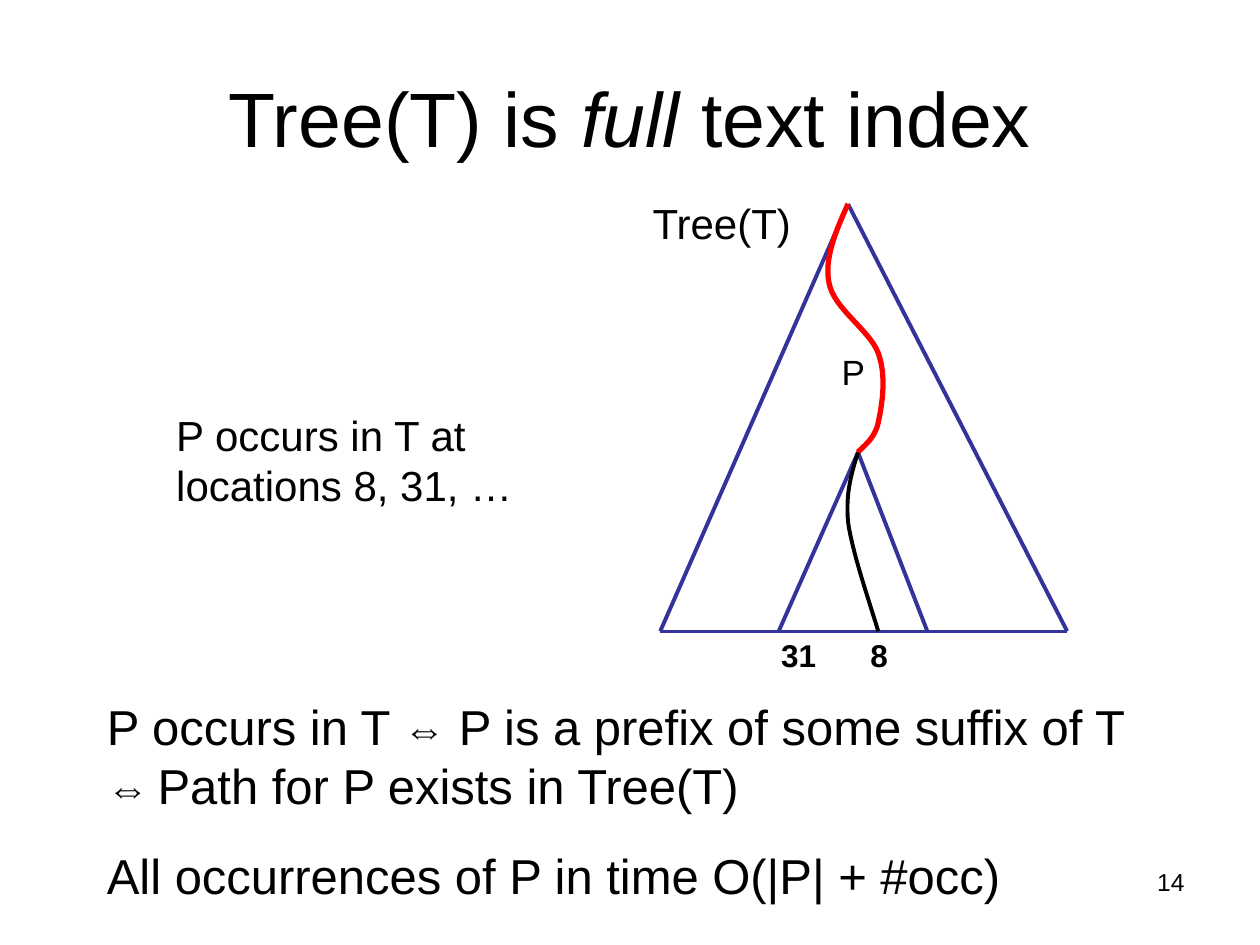
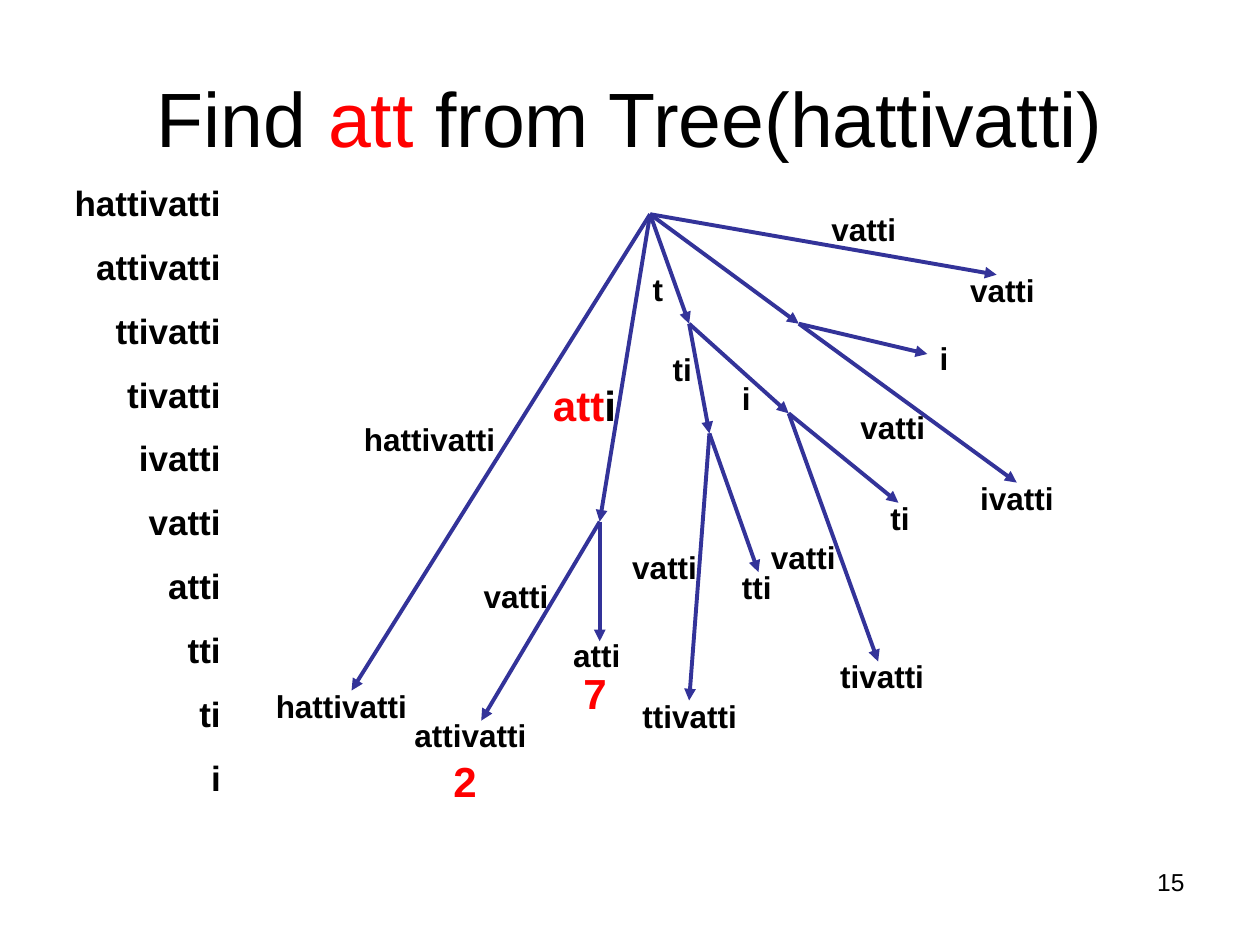
from dataclasses import dataclass

import pptx
import pptx.dml.color
import pptx.enum.shapes
import pptx.enum.text
import pptx.oxml
import pptx.oxml.ns
import pptx.util

Pt = pptx.util.Pt
RGBColor = pptx.dml.color.RGBColor
Align = pptx.enum.text.PP_ALIGN
Anchor = pptx.enum.text.MSO_ANCHOR
Fit = pptx.enum.text.MSO_AUTO_SIZE

BLACK = RGBColor(0x00, 0x00, 0x00)
RED = RGBColor(0xFF, 0x00, 0x00)
BLUE = RGBColor(0x33, 0x33, 0x99)
FONT = "Arial"
GAP = 0.625  # space before a paragraph, as a share of its text size
STEPS = 16  # segments drawn for each Bézier piece

Point = tuple[float, float]


@dataclass(frozen=True)
class Span:
    text: str
    size: float = 18
    bold: bool = False
    italic: bool = False
    color: RGBColor = BLACK


@dataclass(frozen=True)
class Tag:
    """A one-line label in the drawing."""
    text: str
    left: float
    top: float
    width: float
    size: float = 18
    bold: bool = True
    color: RGBColor = BLACK


@dataclass(frozen=True)
class Node:
    parent: str
    x: float
    y: float


def add_text(slide, box: tuple[float, float, float, float], lines: list[list[Span]],
             align=Align.LEFT, anchor=Anchor.TOP, gap: float = GAP, fit=Fit.SHAPE_TO_FIT_TEXT) -> None:
    frame = slide.shapes.add_textbox(*map(Pt, box)).text_frame
    frame.word_wrap = True
    frame.auto_size = fit
    frame.vertical_anchor = anchor
    for row, spans in enumerate(lines):
        para = frame.add_paragraph() if row else frame.paragraphs[0]
        para.alignment = align
        para.space_before = Pt(gap * spans[0].size)
        for span in spans:
            run = para.add_run()
            run.text = span.text
            font = run.font
            font.name, font.size = FONT, Pt(span.size)
            font.bold, font.italic = span.bold, span.italic
            font.color.rgb = span.color


def add_tags(slide, tags: list[Tag]) -> None:
    for tag in tags:
        box = (tag.left, tag.top, tag.width, tag.size * 1.2 + 7.2)
        add_text(slide, box, [[Span(tag.text, tag.size, tag.bold, color=tag.color)]])


def add_line(slide, start: Point, end: Point, width: float = 2.25, arrow: bool = False) -> None:
    line = slide.shapes.add_connector(
        pptx.enum.shapes.MSO_CONNECTOR.STRAIGHT, *map(Pt, start + end))
    line.line.color.rgb = BLUE
    line.line.width = Pt(width)
    props = line._element.spPr
    make = pptx.oxml.parse_xml
    space = pptx.oxml.ns.nsdecls("a")
    if arrow:
        line.line._get_or_add_ln().append(make(f'<a:tailEnd {space} type="triangle"/>'))
    props.append(make(f"<a:effectLst {space}/>"))


def add_curve(slide, points: list[Point], color: RGBColor, width: float) -> None:
    """Draw joined cubic Bézier pieces: a start, then three points for each piece."""
    trace = []
    for first in range(0, len(points) - 1, 3):
        piece = points[first:first + 4]
        for step in range(1, STEPS + 1):
            t = step / STEPS
            parts = ((1 - t) ** 3, 3 * t * (1 - t) ** 2, 3 * t * t * (1 - t), t ** 3)
            trace.append(tuple(Pt(sum(p * q[axis] for p, q in zip(parts, piece)))
                               for axis in (0, 1)))
    build = slide.shapes.build_freeform(*map(Pt, points[0]))
    build.add_line_segments(trace, close=False)
    curve = build.convert_to_shape()
    curve.fill.background()
    curve.line.color.rgb = color
    curve.line.width = Pt(width)
    curve.shadow.inherit = False


def add_page(deck, title: list[Span], number: int):
    slide = deck.slides.add_slide(deck.slide_layouts[6])
    add_text(slide, (36, 21.6, 648, 90), [title], Align.CENTER, Anchor.MIDDLE, 0, Fit.NONE)
    add_text(slide, (516.2, 491.8, 167.8, 37.4), [[Span(str(number), 14)]],
             Align.RIGHT, gap=0, fit=Fit.NONE)
    return slide


def draw_index(deck) -> None:
    slide = add_page(deck, [Span("Tree(T) is ", 44), Span("full", 44, italic=True),
                            Span(" text index", 44)], 14)
    base = 360.7
    apex, left, right = (484.6, 116.6), (377.3, base), (609.8, base)
    fork, leaf = (490.3, 258.5), (501.8, base)
    add_line(slide, apex, left)
    add_line(slide, apex, right)
    add_line(slide, right, left, 1.5)
    for x in (445, 529.9):
        add_line(slide, fork, (x, base))
    add_curve(slide, [apex, (477.4, 132.5), (470.9, 148.3), (473.8, 162),
                      (476.6, 176.4), (496.8, 188.6), (501.8, 201.6),
                      (506.9, 215.3), (504, 231.8), (501.8, 241.9),
                      (499.7, 251.3), (492.5, 255.6), fork], RED, 3)
    add_curve(slide, [fork, (486.7, 270), (483.1, 281.5), (484.6, 298.1),
                      (486.7, 315.4), (499, 350.6), leaf], BLACK, 2.25)
    add_tags(slide, [
        Tag("Tree(T)", 365.8, 109.4, 108, 24, False),
        Tag("P", 473.8, 196.6, 51.1, 20, False),
        Tag("31", 439.2, 360, 85),
        Tag("8", 490.3, 360, 85),
    ])
    add_text(slide, (93.6, 230.4, 238.3, 64.8),
             [[Span("P occurs in T at locations 8, 31, …", 24)]])
    both = Span("⇔", 24, True)
    add_text(slide, (54, 394.6, 623.5, 126), [
        [Span("P occurs in T ", 28), both, Span(" P is a prefix of some suffix of T ", 28),
         both, Span(" "), Span("Path for P exists in Tree(T)", 28)],
        [Span("All occurrences of P in time O(|P| + #occ)", 28)],
    ])


# A name is the word spelled from the root; "$" marks a leaf.
NODES = {
    "": Node("", 371.5, 122.4),
    "hattivatti$": Node("", 200.9, 394.6),
    "atti": Node("", 342.7, 298.1),
    "attivatti$": Node("atti", 275, 411.8),
    "atti$": Node("atti", 342.7, 366.5),
    "t": Node("", 393.8, 185),
    "tti": Node("t", 405.4, 247.7),
    "ttivatti$": Node("tti", 393.8, 400.3),
    "tti$": Node("tti", 433.4, 326.9),
    "ti": Node("t", 450.7, 236.2),
    "tivatti$": Node("ti", 501.8, 378),
    "ti$": Node("ti", 513.4, 287.3),
    "i": Node("", 456.5, 185),
    "ivatti$": Node("i", 581, 275.8),
    "i$": Node("i", 529.9, 202.3),
    "vatti$": Node("", 569.5, 157),
}
LEAVES = [
    Tag("hattivatti", 150.5, 388.8, 102.2),
    Tag("attivatti", 229.7, 405.4, 102.2),
    Tag("atti", 320.4, 360, 56.9),
    Tag("ttivatti", 360, 394.6, 79.2),
    Tag("tti", 416.9, 321.1, 56.9),
    Tag("tivatti", 473, 372.2, 79.2),
    Tag("ti", 501.8, 281.5, 33.8),
    Tag("ivatti", 553, 270, 79.2),
    Tag("i", 529.9, 190.1, 28.1),
    Tag("vatti", 547.2, 151.2, 56.9),
]
EDGES = [
    Tag("hattivatti", 200.9, 236.2, 102.2),
    Tag("vatti", 269.3, 326.2, 56.9),
    Tag("t", 365.8, 150.5, 33.8),
    Tag("ti", 377.3, 196.6, 56.9),
    Tag("vatti", 354.2, 309.6, 56.9),
    Tag("i", 416.9, 213.1, 56.9),
    Tag("vatti", 433.4, 303.8, 56.9),
    Tag("vatti", 484.6, 229.7, 56.9),
    Tag("vatti", 468, 116.6, 56.9),
]
HITS = [
    Tag("2", 252, 428.4, 28.1, 24, color=RED),
    Tag("7", 326.2, 378, 28.1, 24, color=RED),
]


def draw_search(deck) -> None:
    slide = add_page(deck, [Span("Find ", 44), Span("att", 44, color=RED),
                            Span(" from Tree(hattivatti)", 44)], 15)
    word = "hattivatti"
    add_text(slide, (14.4, 100.1, 118.8, 360),
             [[Span(word[start:], 20, True)] for start in range(len(word))], Align.RIGHT)
    for name, node in NODES.items():
        if name:
            root = NODES[node.parent]
            add_line(slide, (root.x, root.y), (node.x, node.y), arrow=True)
    add_tags(slide, LEAVES + EDGES + HITS)
    add_text(slide, (308.9, 213.1, 56.9, 36),
             [[Span("att", 24, True, color=RED), Span("i", 24, True)]])


def main() -> None:
    deck = pptx.Presentation()
    deck.slide_width, deck.slide_height = Pt(720), Pt(540)
    draw_index(deck)
    draw_search(deck)
    deck.save("out.pptx")


if __name__ == "__main__":
    main()
